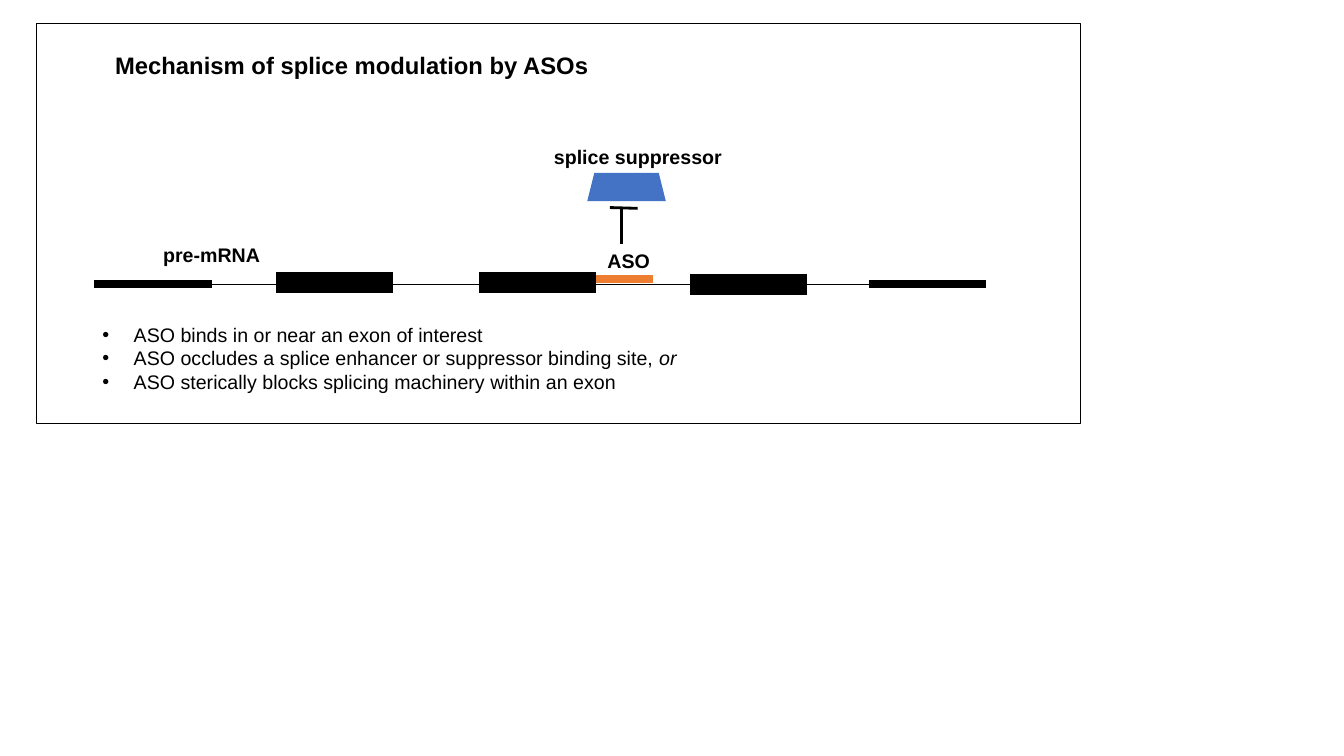
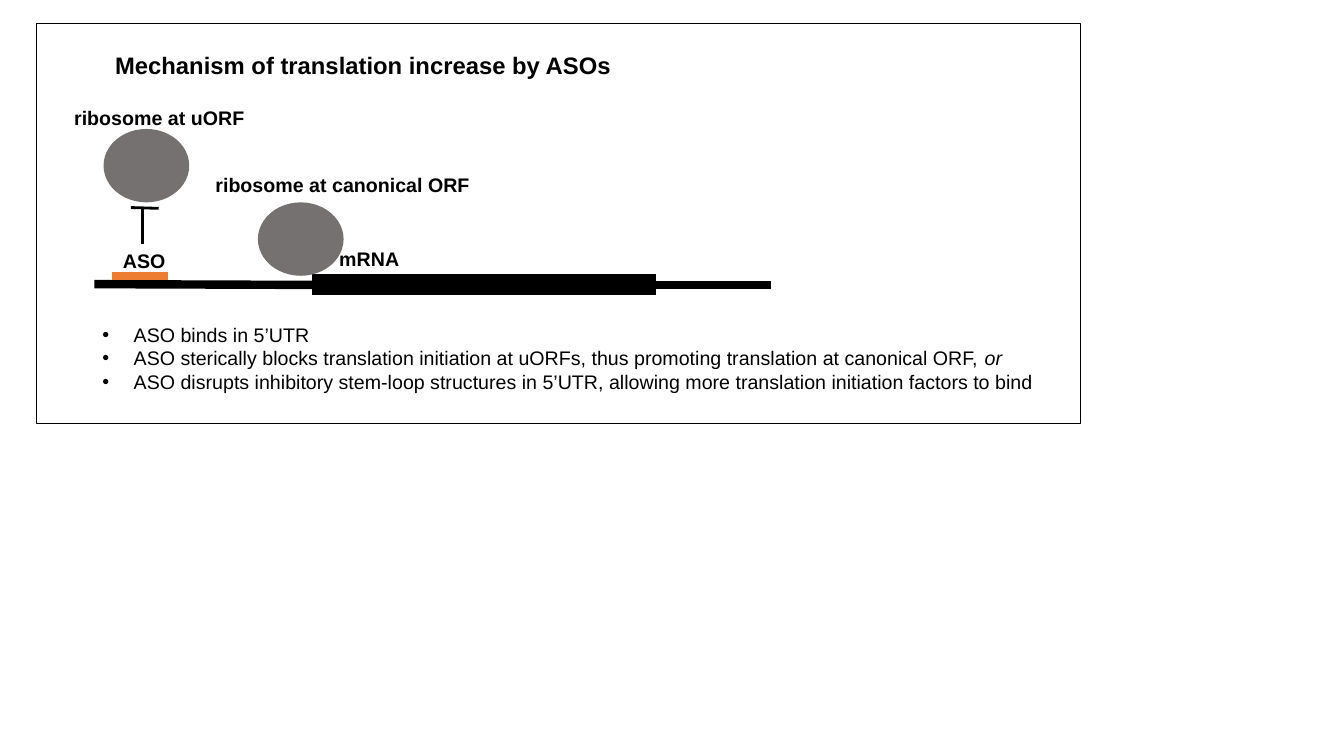
from lxml.etree import SubElement
from pptx import Presentation
from pptx.dml.color import RGBColor
from pptx.enum.shapes import MSO_CONNECTOR, MSO_SHAPE
from pptx.enum.text import MSO_ANCHOR, MSO_AUTO_SIZE, PP_ALIGN
from pptx.oxml.ns import qn
from pptx.util import Cm, Pt

BLACK = RGBColor(0x00, 0x00, 0x00)
ORANGE = RGBColor(0xED, 0x7D, 0x31)
BLUE = RGBColor(0x44, 0x72, 0xC4)
GRAY = RGBColor(0x76, 0x71, 0x71)
FONT = "Arial"

PANEL = (0.91, 0.58, 26.31, 10.08)  # left, top, width, height in cm
STRAND_LEFT, STRAND_Y = 1.47, 6.58
EXON_WIDTH = 2.95
UTR_POINTS, EXON_POINTS = 6, 15
ASO_WIDTH = 1.42
BULLET_INDENT = 0.79


def add_bullet(paragraph):
    properties = paragraph._p.get_or_add_pPr()
    properties.set("marL", str(Cm(BULLET_INDENT)))
    properties.set("indent", str(-Cm(BULLET_INDENT)))
    SubElement(properties, qn("a:buFont"), typeface=FONT)
    SubElement(properties, qn("a:buChar"), char="•")


def write_text(shape, paragraphs, size=14, bold=False, bullets=False):
    """Each paragraph is a list of strings; every second one is italic."""
    frame = shape.text_frame
    frame.word_wrap = True
    frame.auto_size = MSO_AUTO_SIZE.NONE
    frame.vertical_anchor = MSO_ANCHOR.TOP
    frame.margin_left = frame.margin_right = Cm(0.25)
    frame.margin_top = frame.margin_bottom = Cm(0.13)
    for index, parts in enumerate(paragraphs):
        paragraph = frame.add_paragraph() if index else frame.paragraphs[0]
        if bullets:
            add_bullet(paragraph)
        paragraph.alignment = PP_ALIGN.LEFT
        paragraph.line_spacing = Pt(1.2 * size)
        for position, part in enumerate(parts):
            run = paragraph.add_run()
            run.text = part
            run.font.name = FONT
            run.font.size = Pt(size)
            run.font.bold = bold
            run.font.italic = position % 2 == 1
            run.font.color.rgb = BLACK


def inside(panel, left, top, width, height):
    return Cm(panel[0] + left), Cm(panel[1] + top), Cm(width), Cm(height)


def add_label(slide, panel, text, left, top, width):
    box = slide.shapes.add_textbox(*inside(panel, left, top, width, 0.86))
    write_text(box, [[text]], bold=True)


def add_line(slide, panel, start, end, points, color=BLACK):
    ends = [Cm(panel[axis] + point[axis]) for point in (start, end) for axis in (0, 1)]
    line = slide.shapes.add_connector(MSO_CONNECTOR.STRAIGHT, *ends)
    line.line.color.rgb = color
    line.line.width = Pt(points)
    SubElement(line._element.spPr, qn("a:effectLst"))


def add_filled(slide, panel, kind, color, *box):
    shape = slide.shapes.add_shape(kind, *inside(panel, *box))
    shape.shadow.inherit = False
    shape.fill.solid()
    shape.fill.fore_color.rgb = color
    shape.line.fill.background()


def add_aso(slide, panel, left, y, stem_x):
    """Draws the bound ASO with its label and the blocking T above it."""
    add_line(slide, panel, (left, y), (left + ASO_WIDTH, y), UTR_POINTS, ORANGE)
    add_label(slide, panel, "ASO", left + 0.03, 5.56, 1.8)
    add_line(slide, panel, (stem_x, 5.56), (stem_x, 4.65), 2)
    add_line(slide, panel, (stem_x - 0.3, 4.65), (stem_x + 0.4, 4.67), 2)


def add_splicing_diagram(slide, panel):
    right = 23.95
    add_line(slide, panel, (STRAND_LEFT, STRAND_Y), (right, STRAND_Y), 0.5)
    for left in (STRAND_LEFT, right - EXON_WIDTH):
        add_line(slide, panel, (left, STRAND_Y), (left + EXON_WIDTH, STRAND_Y), UTR_POINTS)
    for left, y in ((6.05, 6.55), (11.15, 6.55), (16.48, 6.6)):
        add_line(slide, panel, (left, y), (left + EXON_WIDTH, y), EXON_POINTS)
    add_aso(slide, panel, 14.12, 6.45, 14.76)
    add_label(slide, panel, "pre-mRNA", 2.95, 5.41, 3.2)
    add_filled(slide, panel, MSO_SHAPE.TRAPEZOID, BLUE, 13.89, 3.78, 1.98, 0.71)
    add_label(slide, panel, "splice suppressor", 12.8, 2.95, 5)


def add_translation_diagram(slide, panel):
    add_line(slide, panel, (STRAND_LEFT, STRAND_Y), (7.04, 6.6), UTR_POINTS)
    add_line(slide, panel, (15.57, 6.6), (18.52, 6.6), UTR_POINTS)
    add_line(slide, panel, (6.96, 6.6), (15.62, 6.6), EXON_POINTS)
    add_aso(slide, panel, 1.91, 6.38, 2.69)
    for left, top in ((1.7, 2.67), (5.59, 4.52)):
        add_filled(slide, panel, MSO_SHAPE.OVAL, GRAY, left, top, 2.16, 1.85)
    add_label(slide, panel, "mRNA", 7.39, 5.51, 2.2)
    add_label(slide, panel, "ribosome at uORF", 0.71, 1.96, 5)
    add_label(slide, panel, "ribosome at canonical ORF", 4.27, 3.66, 7.1)


def add_mechanism_slide(presentation, panel, title, add_diagram, bullets):
    slide = presentation.slides.add_slide(presentation.slide_layouts[5])
    heading = slide.shapes.title
    heading.left, heading.top, heading.width, heading.height = inside(panel, 1.74, 0.58, 14, 0.99)
    write_text(heading, [[title]], size=17, bold=True)
    add_diagram(slide, panel)
    points = slide.shapes.add_textbox(*inside(panel, 1.42, 7.42, 24.5, 2.03))
    write_text(points, bullets, bullets=True)
    frame = slide.shapes.add_shape(MSO_SHAPE.RECTANGLE, *inside(panel, 0, 0, *panel[2:]))
    frame.shadow.inherit = False
    frame.fill.background()
    frame.line.color.rgb = BLACK
    frame.line.width = Pt(0.25)


def main():
    presentation = Presentation()
    presentation.slide_width, presentation.slide_height = Cm(33.87), Cm(19.05)
    add_mechanism_slide(
        presentation, PANEL, "Mechanism of splice modulation by ASOs", add_splicing_diagram,
        [["ASO binds in or near an exon of interest"],
         ["ASO occludes a splice enhancer or suppressor binding site, ", "or"],
         ["ASO sterically blocks splicing machinery within an exon"]])
    add_mechanism_slide(
        presentation, PANEL, "Mechanism of translation increase by ASOs", add_translation_diagram,
        [["ASO binds in 5’UTR"],
         ["ASO sterically blocks translation initiation at uORFs, "
          "thus promoting translation at canonical ORF, ", "or"],
         ["ASO disrupts inhibitory stem-loop structures in 5’UTR, "
          "allowing more translation initiation factors to bind"]])
    presentation.save("out.pptx")


if __name__ == "__main__":
    main()
